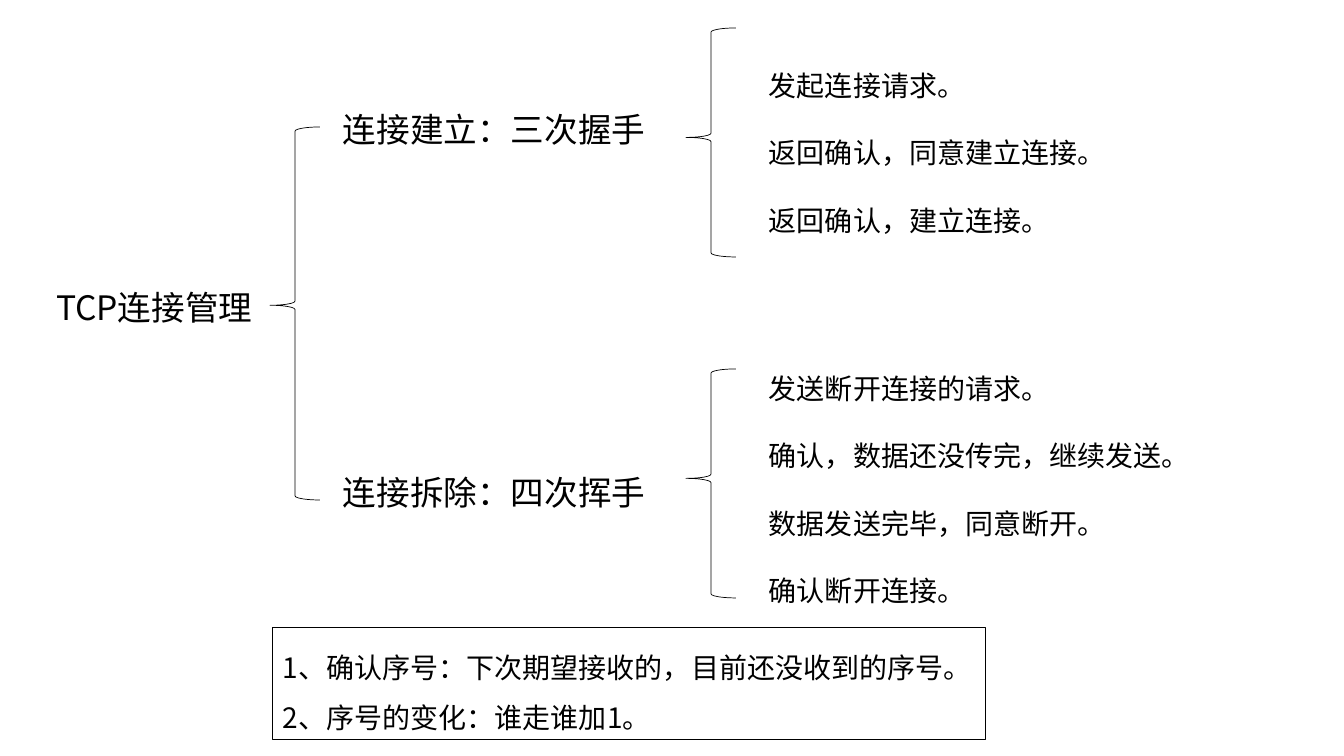
from lxml import etree
from pptx import Presentation
from pptx.dml.color import RGBColor
from pptx.enum.shapes import MSO_SHAPE
from pptx.enum.text import MSO_ANCHOR, PP_ALIGN
from pptx.oxml.ns import qn
from pptx.util import Emu, Pt

BRACE, RECT = MSO_SHAPE.LEFT_BRACE, MSO_SHAPE.RECTANGLE
TOP, MIDDLE, LEFT = MSO_ANCHOR.TOP, MSO_ANCHOR.MIDDLE, PP_ALIGN.LEFT
BLACK = RGBColor(0, 0, 0)
FONT = "Noto Sans CJK SC"
PX = 914400 / 100.8

# Each branch: topic, topic top, brace top, steps top, steps
BRANCHES = [
    ("连接建立：三次握手", 84, 28, 30,
     ["发起连接请求。", "返回确认，同意建立连接。", "返回确认，建立连接。"]),
    ("连接拆除：四次挥手", 447, 369, 333,
     ["发送断开连接的请求。", "确认，数据还没传完，继续发送。",
      "数据发送完毕，同意断开。", "确认断开连接。"]),
]
NOTES = ["1、确认序号：下次期望接收的，目前还没收到的序号。",
         "2、序号的变化：谁走谁加1。"]


def px(*lengths):
    return [Emu(round(n * PX)) for n in lengths]


def write(sp, lines, size, spacing, anchor=TOP):
    tf = sp.text_frame
    tf.word_wrap = True
    tf.vertical_anchor = anchor
    tf.text = "\n".join(lines)
    for p in tf.paragraphs:
        p.alignment = LEFT
        p.line_spacing = spacing
        for r in p.runs:
            r.font.size = Pt(size)
            r.font.name = FONT
            r.font.color.rgb = BLACK
            # East Asian typeface
            ea = etree.SubElement(r.font._element, qn("a:ea"))
            ea.set("typeface", FONT)


def add_title(s, text, x, y, w, h):
    sp = s.shapes.title
    sp.left, sp.top, sp.width, sp.height = px(x, y, w, h)
    write(sp, [text], 24, 1.0)


def add_text(s, lines, x, y, w, h, size, spacing):
    write(s.shapes.add_textbox(*px(x, y, w, h)), lines, size, spacing)


def add_outline(s, kind, x, y, w, h, weight):
    sp = s.shapes.add_shape(kind, *px(x, y, w, h))
    sp.shadow.inherit = False
    sp.fill.background()
    sp.line.color.rgb = BLACK
    sp.line.width = Pt(weight)
    return sp


def add_brace(s, x, y, h):
    sp = add_outline(s, BRACE, x, y, 50, h, 0.5)
    sp.adjustments[0] = 0.083
    sp.adjustments[1] = 0.478


def main():
    prs = Presentation()
    prs.slide_width, prs.slide_height = px(1344, 756)
    s = prs.slides.add_slide(prs.slide_layouts[5])

    # Root of the tree
    add_title(s, "TCP连接管理", 46, 282, 223, 50)
    add_brace(s, 270, 127, 373)

    # Branches with their steps
    for topic, topic_y, brace_y, steps_y, steps in BRANCHES:
        add_text(s, [topic], 333, topic_y, 331, 70, 24, 1.5)
        add_brace(s, 686, brace_y, 229)
        add_text(s, steps, 759, steps_y, 453, 10 + 67 * len(steps), 20, 2.0)

    # Framed notes
    notes = add_outline(s, RECT, 273, 628, 713, 112, 0.75)
    write(notes, NOTES, 20, 1.5, MIDDLE)

    prs.save("out.pptx")


if __name__ == "__main__":
    main()
